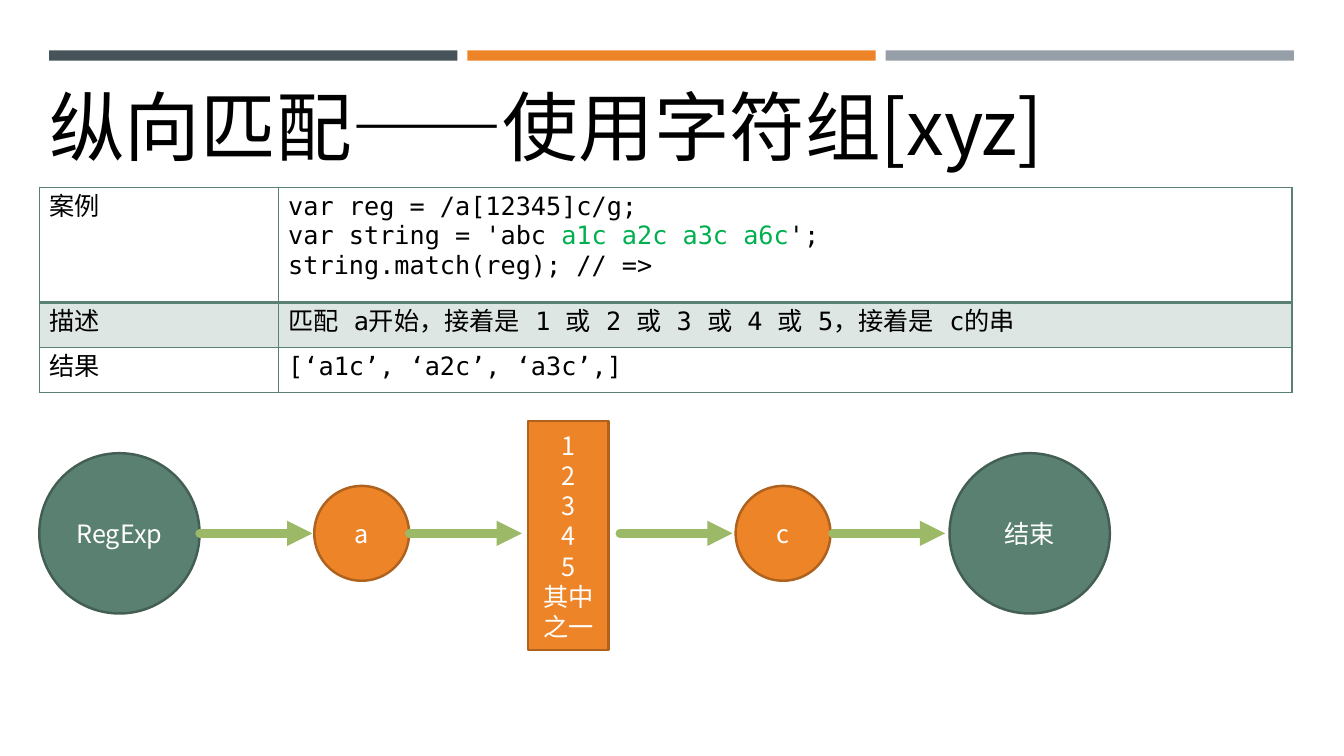
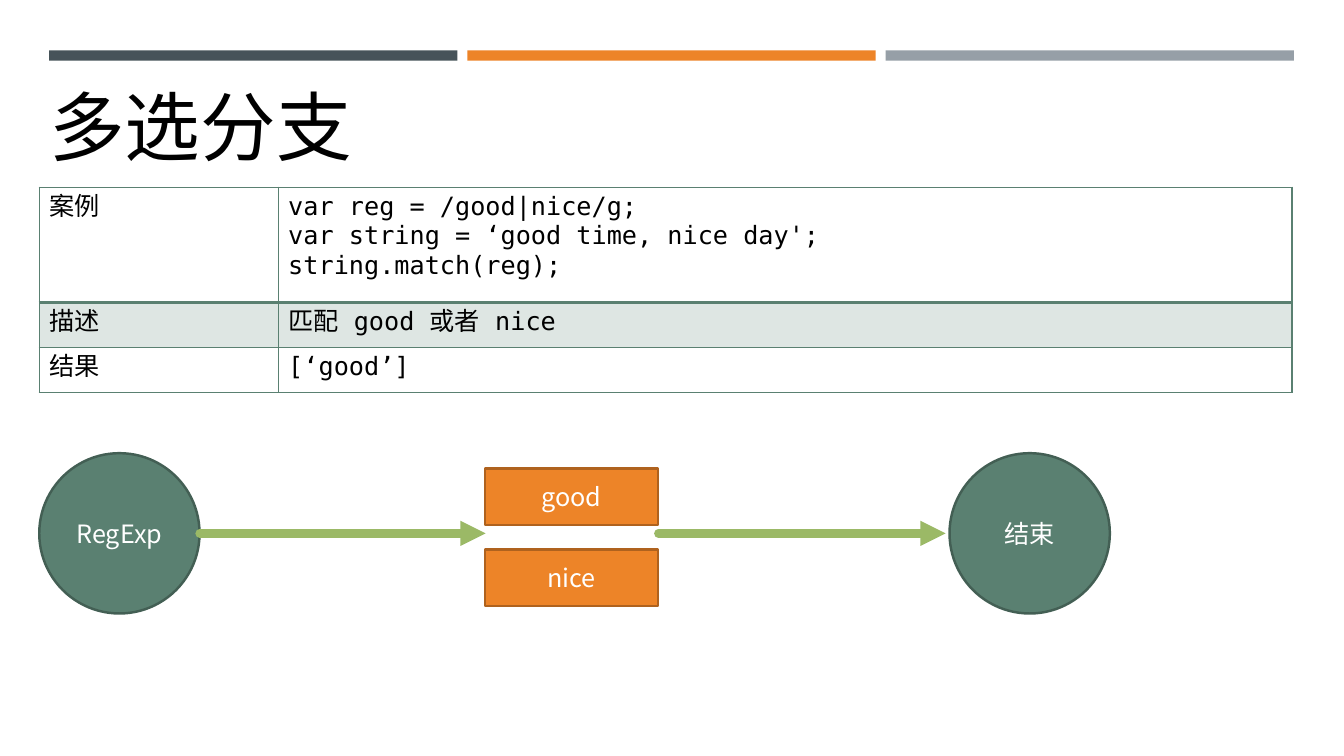
import pptx
import pptx.dml.color
import pptx.enum.shapes
import pptx.enum.text
import pptx.oxml
import pptx.oxml.ns
import pptx.util
from pptx.util import Cm, Pt

SANS, MONO = "Noto Sans CJK SC", "DejaVu Sans Mono"
BLACK, WHITE, MATCH = "000000", "FFFFFF", "00B050"
GREEN, GREEN_EDGE, GREEN_TINT = "5A8071", "435F54", "DEE6E3"
ORANGE, ORANGE_EDGE = "ED8428", "AF621E"
ARROW = "9BB966"

# All positions and sizes are in centimetres.
BAR_COLOURS = ["465359", ORANGE, "969FA7"]
BAR_LEFT, BAR_TOP, BAR_WIDTH, BAR_HEIGHT, BAR_STEP = 1.24, 1.27, 10.29, 0.26, 10.54
MARGIN, TITLE_TOP, TITLE_HEIGHT, TABLE_TOP = 0.99, 1.88, 2.57, 4.72
COLUMN_WIDTHS, ROW_HEIGHTS = [6.02, 25.55], [2.9, 1.14, 1.14]
ROW_LABELS = ["案例", "描述", "结果"]
FLOW_AXIS = 13.44

# Node kinds: outline, width, height, fill, edge
ELLIPSE = pptx.enum.shapes.MSO_SHAPE.OVAL
RECTANGLE = pptx.enum.shapes.MSO_SHAPE.RECTANGLE
NODE_KINDS = {
    "terminal": (ELLIPSE, 4.04, 4.04, GREEN, GREEN_EDGE),
    "letter": (ELLIPSE, 2.39, 2.39, ORANGE, ORANGE_EDGE),
    "choices": (RECTANGLE, 2.03, 5.77, ORANGE, ORANGE_EDGE),
    "branch": (RECTANGLE, 4.35, 1.42, ORANGE, ORANGE_EDGE),
}
# Nodes: kind, left, centre's offset from the flow axis, lines
START = ("terminal", MARGIN, 0, ["RegExp"])
END = ("terminal", 23.93, 0, ["结束"])
SHORT_ARROW = 2.84

# Each line of a cell is a list of (text, overrides) runs.
SLIDES = [
    {
        "title": "纵向匹配——使用字符组[xyz]",
        "title_width": 26.21,
        "cells": [
            [
                [("var reg = /a[12345]c/g;", {})],
                [("var string = 'abc ", {}), ("a1c a2c a3c a6c", {"colour": MATCH}), ("';", {})],
                [("string.match(reg); // =>", {})],
            ],
            [[("匹配 a开始，接着是 1 或 2 或 3 或 4 或 5，接着是 c", {}), ("的串", {"font": SANS})]],
            [[("[‘a1c’, ‘a2c’, ‘a3c’,]", {})]],
        ],
        "nodes": [
            START,
            ("letter", 7.92, 0, ["a"]),
            ("choices", 13.31, 0.06, ["1", "2", "3", "4", "5", "其中之一"]),
            ("letter", 18.54, 0, ["c"]),
            END,
        ],
        "arrows": [(left, left + SHORT_ARROW) for left in (5.03, 10.31, 15.62, 20.98)],
    },
    {
        "title": "多选分支",
        "title_width": 8.2,
        "cells": [
            [
                [("var reg = /good|nice/g;", {})],
                [("var string = ‘good time, nice day';", {})],
                [("string.match(reg);", {})],
            ],
            [[("匹配 good 或者 nice", {})]],
            [[("[‘good’]", {})]],
        ],
        "nodes": [
            START,
            ("branch", 12.23, -0.92, ["good"]),
            ("branch", 12.23, 1.12, ["nice"]),
            END,
        ],
        "arrows": [(5.03, 12.24), (16.59, 23.83)],
    },
]


def rgb(colour):
    return pptx.dml.color.RGBColor.from_string(colour)


def add_xml(parent, tag, **attributes):
    child = pptx.oxml.ns.qn(tag)
    element = parent.makeelement(child, attributes)
    parent.append(element)
    return element


def write(frame, lines, size, font, colour, align=pptx.enum.text.PP_ALIGN.LEFT):
    """Fill a text frame with lines of (text, overrides) runs in one shared style."""
    for number, line in enumerate(lines):
        paragraph = frame.add_paragraph() if number else frame.paragraphs[0]
        paragraph.alignment = align
        paragraph.font.size = Pt(size)
        paragraph.font.color.rgb = rgb(colour)
        paragraph.font.name = font
        defaults = paragraph._p.pPr.find(pptx.oxml.ns.qn("a:defRPr"))
        add_xml(defaults, "a:ea", typeface=font)
        for text, overrides in line:
            run = paragraph.add_run()
            run.text = text
            if "colour" in overrides:
                run.font.color.rgb = rgb(overrides["colour"])
            if "font" in overrides:
                run.font.name = overrides["font"]


def add_block(slide, outline, left, top, width, height, fill, edge=None):
    block = slide.shapes.add_shape(outline, Cm(left), Cm(top), Cm(width), Cm(height))
    block.shadow.inherit = False
    block.fill.solid()
    block.fill.fore_color.rgb = rgb(fill)
    if edge:
        block.line.color.rgb = rgb(edge)
        block.line.width = Pt(1.75)
    else:
        block.line.fill.background()
    return block


def add_frame(slide, title, title_width):
    """Add the three bars on top and the title."""
    for number, colour in enumerate(BAR_COLOURS):
        add_block(slide, RECTANGLE, BAR_LEFT + number * BAR_STEP, BAR_TOP,
                  BAR_WIDTH, BAR_HEIGHT, colour)
    heading = slide.shapes.title
    heading.left, heading.top = Cm(MARGIN), Cm(TITLE_TOP)
    heading.width, heading.height = Cm(title_width), Cm(TITLE_HEIGHT)
    frame = heading.text_frame
    frame.word_wrap = False
    frame.auto_size = pptx.enum.text.MSO_AUTO_SIZE.SHAPE_TO_FIT_TEXT
    frame.vertical_anchor = pptx.enum.text.MSO_ANCHOR.TOP
    write(frame, [[(title, {})]], 54, SANS, BLACK)


def set_borders(cell, top, bottom):
    properties = cell._tc.get_or_add_tcPr()
    for side, points in (("L", 1), ("R", 1), ("T", top), ("B", bottom)):
        border = add_xml(properties, "a:ln" + side, w=str(Pt(points)))
        add_xml(add_xml(border, "a:solidFill"), "a:srgbClr", val=GREEN)


def add_case_table(slide, cells):
    table = slide.shapes.add_table(
        len(ROW_HEIGHTS), len(COLUMN_WIDTHS), Cm(MARGIN), Cm(TABLE_TOP),
        Cm(sum(COLUMN_WIDTHS)), Cm(sum(ROW_HEIGHTS))).table
    table.first_row = table.horz_banding = False
    for column, width in zip(table.columns, COLUMN_WIDTHS):
        column.width = Cm(width)
    for row, height in enumerate(ROW_HEIGHTS):
        table.rows[row].height = Cm(height)
        for column, lines in enumerate(([[(ROW_LABELS[row], {})]], cells[row])):
            cell = table.cell(row, column)
            write(cell.text_frame, lines, 18, MONO, BLACK)
            set_borders(cell, top=2 if row == 1 else 1, bottom=2 if row == 0 else 1)
            if row == 1:
                cell.fill.solid()
                cell.fill.fore_color.rgb = rgb(GREEN_TINT)
            else:
                cell.fill.background()


def add_node(slide, kind, left, offset, lines):
    outline, width, height, fill, edge = NODE_KINDS[kind]
    top = FLOW_AXIS + offset - height / 2
    node = add_block(slide, outline, left, top, width, height, fill, edge)
    node.text_frame.vertical_anchor = pptx.enum.text.MSO_ANCHOR.MIDDLE
    write(node.text_frame, [[(line, {})] for line in lines], 18, SANS, WHITE,
          pptx.enum.text.PP_ALIGN.CENTER)


def add_arrow(slide, start, end):
    arrow = slide.shapes.add_connector(
        pptx.enum.shapes.MSO_CONNECTOR.STRAIGHT,
        Cm(start), Cm(FLOW_AXIS), Cm(end), Cm(FLOW_AXIS))
    arrow.line.color.rgb = rgb(ARROW)
    arrow.line.width = Pt(6)
    stroke = arrow.line._get_or_add_ln()
    stroke.set("cap", "rnd")
    add_xml(stroke, "a:tailEnd", type="triangle")
    add_xml(arrow._element.spPr, "a:effectLst")


def main():
    deck = pptx.Presentation()
    deck.slide_width, deck.slide_height = Cm(33.87), Cm(19.05)
    title_only = deck.slide_layouts[5]
    for content in SLIDES:
        slide = deck.slides.add_slide(title_only)
        add_frame(slide, content["title"], content["title_width"])
        add_case_table(slide, content["cells"])
        for node in content["nodes"]:
            add_node(slide, *node)
        for start, end in content["arrows"]:
            add_arrow(slide, start, end)
    deck.save("out.pptx")


if __name__ == "__main__":
    main()
